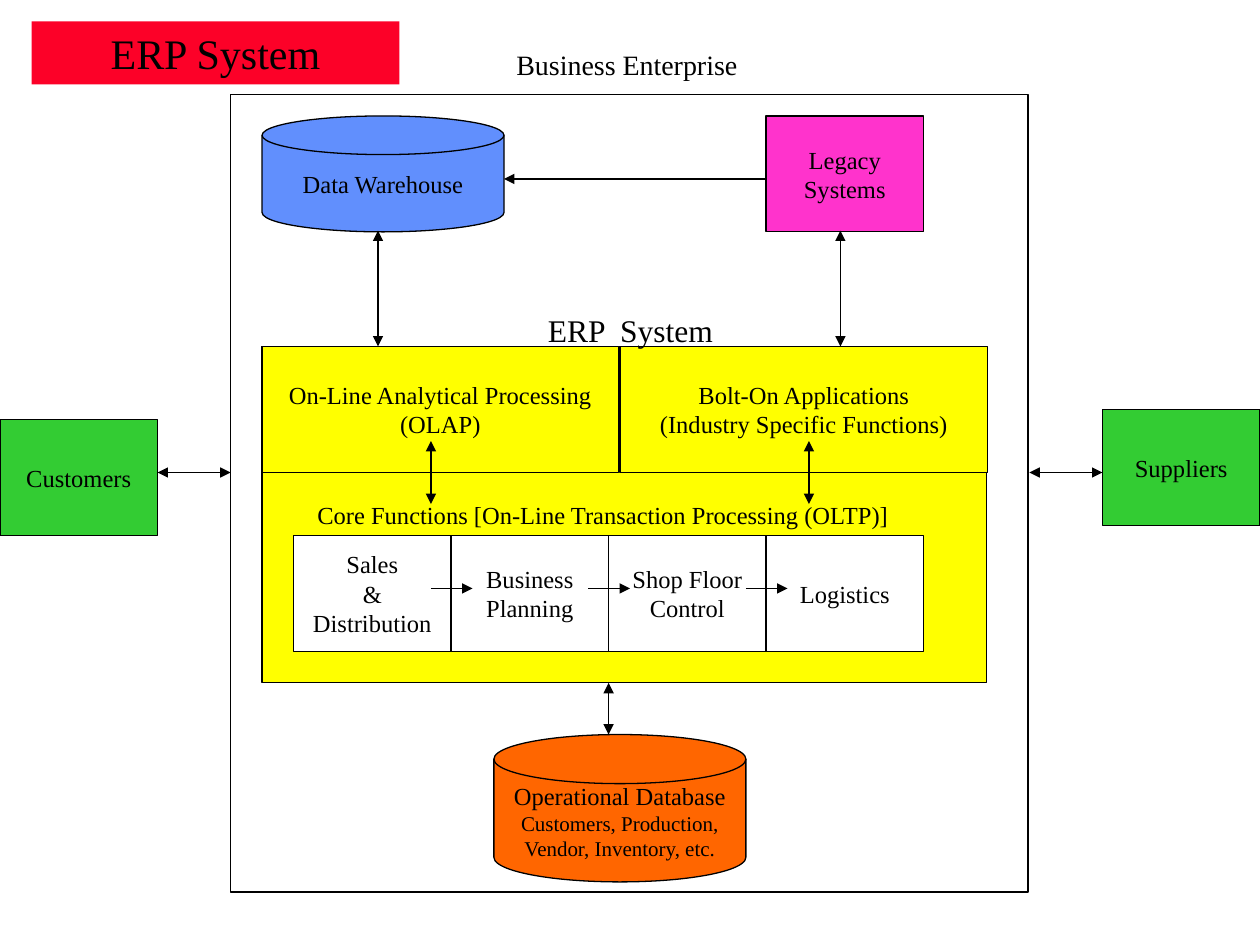
from lxml import etree
from pptx import Presentation
from pptx.dml.color import RGBColor
from pptx.enum.shapes import MSO_CONNECTOR, MSO_SHAPE
from pptx.enum.text import MSO_ANCHOR, PP_ALIGN
from pptx.oxml.ns import qn
from pptx.util import Inches, Pt

RECT, DISK = MSO_SHAPE.RECTANGLE, MSO_SHAPE.FLOWCHART_MAGNETIC_DISK
STRAIGHT = MSO_CONNECTOR.STRAIGHT
CENTER, LEFT = PP_ALIGN.CENTER, PP_ALIGN.LEFT
MIDDLE, TOP = MSO_ANCHOR.MIDDLE, MSO_ANCHOR.TOP

BLACK = RGBColor(0x00, 0x00, 0x00)
WHITE = RGBColor(0xFF, 0xFF, 0xFF)
RED = RGBColor(0xFC, 0x01, 0x28)
BLUE = RGBColor(0x61, 0x8F, 0xFD)
YELLOW = RGBColor(0xFF, 0xFF, 0x00)
GREEN = RGBColor(0x33, 0xCC, 0x33)
ORANGE = RGBColor(0xFF, 0x66, 0x00)
PINK = RGBColor(0xFF, 0x33, 0xCC)
FONT = "Times New Roman"


def write(frame, lines, sizes, align, anchor, wrap):
    frame_format = {
        "word_wrap": wrap, "vertical_anchor": anchor,
        "margin_left": Inches(0.1), "margin_right": Inches(0.1),
        "margin_top": Inches(0.05), "margin_bottom": Inches(0.05),
    }
    for name, value in frame_format.items():
        setattr(frame, name, value)
    frame.text = "\n".join(lines)
    for number, paragraph in enumerate(frame.paragraphs):
        paragraph.alignment = align
        paragraph.font.name = FONT
        paragraph.font.size = Pt(sizes[min(number, len(sizes) - 1)])
        paragraph.font.color.rgb = BLACK


def add_block(kind, place, fill, lines=(), sizes=(14,)):
    block = slide.shapes.add_shape(kind, *map(Inches, place))
    block.shadow.inherit = False
    if fill is None:
        block.fill.background()
    else:
        block.fill.solid()
        block.fill.fore_color.rgb = fill
    block.line.color.rgb = BLACK
    block.line.width = Pt(0.75)
    if lines:
        write(block.text_frame, lines, sizes, CENTER, MIDDLE, False)


prs = Presentation()
prs.slide_width, prs.slide_height = Inches(10), Inches(7.5)
slide = prs.slides.add_slide(prs.slide_layouts[5])

# Title on its red banner
title = slide.shapes.title
title.left, title.top = Inches(0.25), Inches(0.17)
title.width, title.height = Inches(2.92), Inches(0.5)
title.fill.solid()
title.fill.fore_color.rgb = RED
write(title.text_frame, ["ERP System"], [24], CENTER, MIDDLE, True)

# Enterprise frame, ERP system and everything around it
blocks = [
    (RECT, (1.83, 0.75, 6.33, 6.33), None),
    (DISK, (2.08, 0.92, 1.92, 0.92), BLUE, ["Data Warehouse"]),
    (RECT, (6.08, 0.92, 1.25, 0.92), PINK, ["Legacy", "Systems"]),
    (RECT, (2.08, 2.75, 5.75, 2.67), YELLOW),
    (RECT, (2.08, 2.75, 2.83, 1), YELLOW,
     ["On-Line Analytical Processing", "(OLAP)"]),
    (RECT, (4.92, 2.75, 2.92, 1), YELLOW,
     ["Bolt-On Applications", "(Industry Specific Functions)"]),
    (RECT, (0, 3.33, 1.25, 0.92), GREEN, ["Customers"]),
    (RECT, (8.75, 3.25, 1.25, 0.92), GREEN, ["Suppliers"]),
    (DISK, (3.92, 5.83, 2, 1.17), ORANGE,
     ["Operational Database", "Customers, Production,", "Vendor, Inventory, etc."],
     (14, 12)),
]
for block in blocks:
    add_block(*block)

# Core functions, side by side
core_functions = [["Sales", "&", "Distribution"], ["Business", "Planning"],
                  ["Shop Floor", "Control"], ["Logistics"]]
CORE_LEFT, CORE_WIDTH = 2.33, 1.25
for column, lines in enumerate(core_functions):
    add_block(RECT, (CORE_LEFT + column * CORE_WIDTH, 4.25, CORE_WIDTH, 0.92), WHITE, lines)

# Captions
captions = [
    ("Business Enterprise", (4, 0.33, 2.08, 0.37), 16),
    ("ERP  System", (4.25, 2.42, 1.67, 0.4), 18),
    ("Core Functions [On-Line Transaction Processing (OLTP)]", (2.42, 3.92, 5.5, 0.34), 14),
]
for wording, place, size in captions:
    caption = slide.shapes.add_textbox(*map(Inches, place))
    write(caption.text_frame, [wording], [size], LEFT, TOP, True)

# Arrows: two-way exchanges, then one-way flows
two_way = [
    (3, 1.83, 3, 2.75), (6.67, 1.83, 6.67, 2.75),
    (3.42, 3.5, 3.42, 4), (6.42, 3.5, 6.42, 4),
    (1.25, 3.75, 1.83, 3.75), (8.17, 3.75, 8.75, 3.75),
    (4.83, 5.42, 4.83, 5.83),
]
one_way = [(6.08, 1.42, 4, 1.42)]
for step in range(len(core_functions) - 1):
    start = 3.42 + step * CORE_WIDTH
    one_way.append((start, 4.67, start + 0.33, 4.67))

for routes, ends in ((two_way, ("headEnd", "tailEnd")), (one_way, ("tailEnd",))):
    for route in routes:
        arrow = slide.shapes.add_connector(STRAIGHT, *map(Inches, route))
        arrow.line.color.rgb = BLACK
        arrow.line.width = Pt(0.75)
        outline = arrow.line._get_or_add_ln()
        for end in ends:
            etree.SubElement(outline, qn(f"a:{end}"), type="triangle")
        etree.SubElement(arrow._element.spPr, qn("a:effectLst"))

prs.save("out.pptx")
